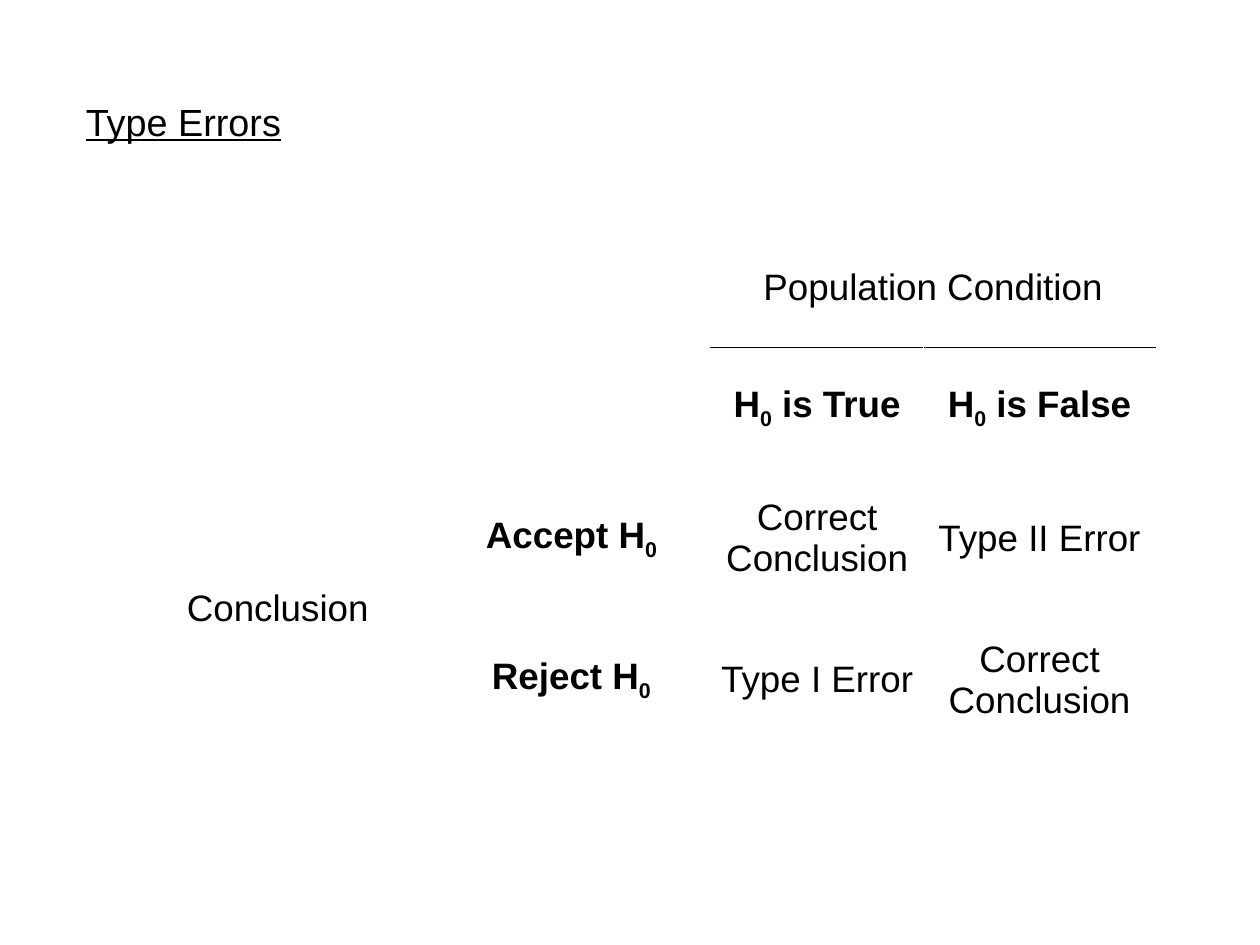
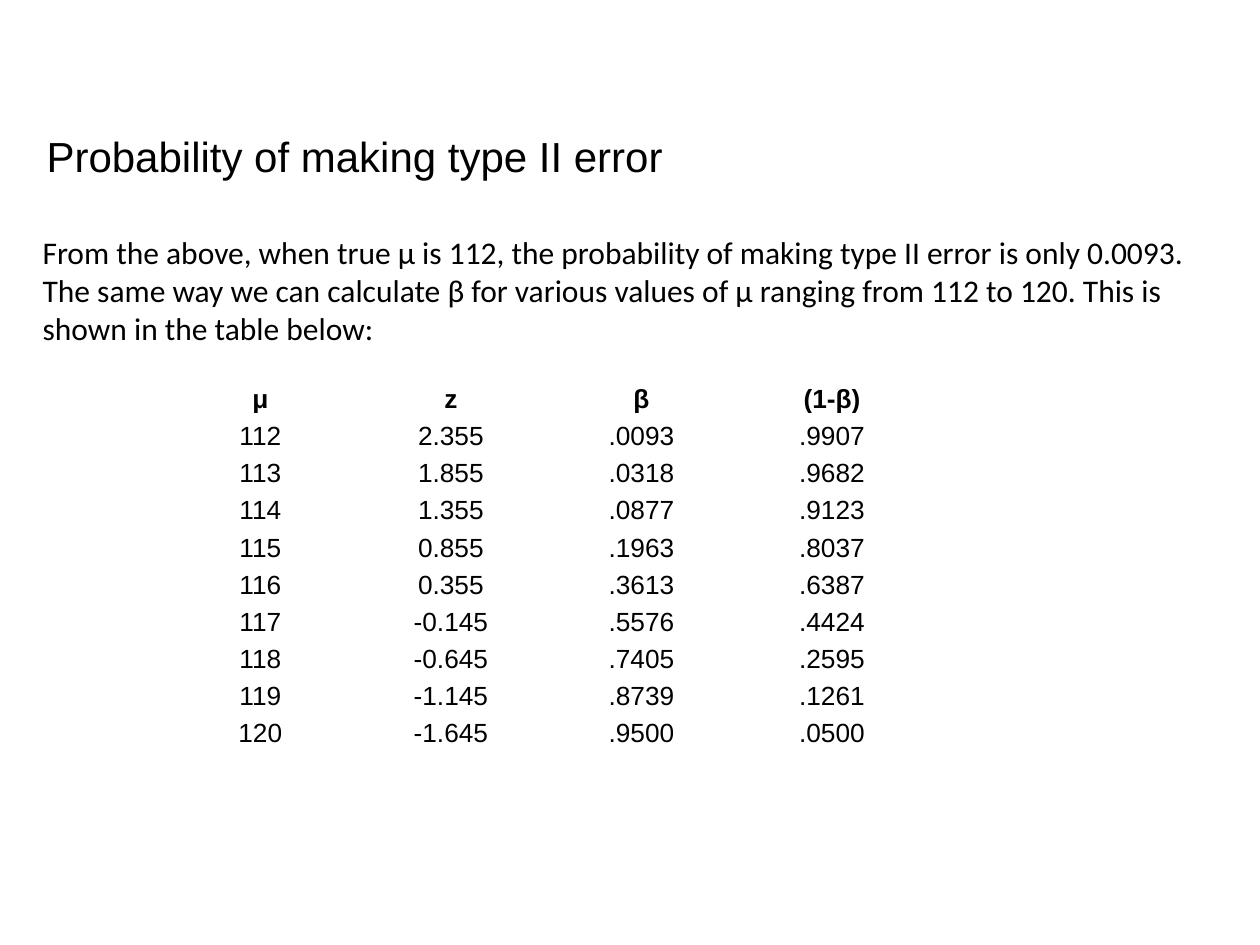
"""Build two slides on type I and type II errors."""
import pptx
import pptx.util
import pptx.dml.color
import pptx.enum.text
import pptx.oxml
import pptx.oxml.ns

Pt = pptx.util.Pt
Align = pptx.enum.text.PP_ALIGN
Anchor = pptx.enum.text.MSO_ANCHOR
COLORS = {"ink": "000000", "paper": "FFFFFF"}


def write(frame, text, size=18, font="Arial", color="ink", bold=False,
          line=False, align=Align.LEFT, gap=1.0):
    para = frame.paragraphs[0]
    para.alignment = align
    para.line_spacing = gap
    for i, part in enumerate(text.split("_")):
        run = para.add_run()
        run.text = part
        run.font.size = Pt(size)
        run.font.name = font
        run.font.bold = bold
        run.font.underline = line
        run.font.color.rgb = pptx.dml.color.RGBColor.from_string(COLORS[color])
        if i % 2:
            run.font._element.set("baseline", "-25000")


class Deck:
    def __init__(self):
        self.prs = pptx.Presentation()
        self.prs.slide_width, self.prs.slide_height = Pt(720), Pt(540)
        self.slide = None

    def start(self, title, box, **style):
        self.slide = self.prs.slides.add_slide(self.prs.slide_layouts[5])
        head = self.slide.shapes.title
        head.left, head.top, head.width, head.height = map(Pt, box)
        frame = head.text_frame
        frame.auto_size = pptx.enum.text.MSO_AUTO_SIZE.NONE
        frame.vertical_anchor = Anchor.BOTTOM
        write(frame, title, **style)

    def text(self, text, box, pad=(5, 3), **style):
        frame = self.slide.shapes.add_textbox(*map(Pt, box)).text_frame
        frame.word_wrap = True
        frame.vertical_anchor = Anchor.MIDDLE
        frame.margin_left = frame.margin_right = Pt(pad[0])
        frame.margin_top = frame.margin_bottom = Pt(pad[1])
        write(frame, text, **style)

    def edge(self, cell, sides, color):
        props = cell._tc.get_or_add_tcPr()
        for side in sides:
            props.append(pptx.oxml.parse_xml(
                f'<a:ln{side} {pptx.oxml.ns.nsdecls("a")} w="12700"><a:solidFill>'
                f'<a:srgbClr val="{COLORS[color]}"/></a:solidFill></a:ln{side}>'))

    def table(self, data, spot, cols, rows, bold, pad, anchor, edges,
              merges=(), **style):
        shape = self.slide.shapes.add_table(
            len(rows), len(cols), *map(Pt, (*spot, sum(cols), sum(rows))))
        table = shape.table
        table.first_row = table.horz_banding = False
        for col, width in zip(table.columns, cols):
            col.width = Pt(width)
        for row, height in zip(table.rows, rows):
            row.height = Pt(height)
        for first, last in merges:
            table.cell(*first).merge(table.cell(*last))
        for r, line in enumerate(data):
            for c, text in enumerate(line):
                cell = table.cell(r, c)
                cell.vertical_anchor = anchor
                cell.margin_left = cell.margin_right = Pt(pad[0])
                cell.margin_top = cell.margin_bottom = Pt(pad[1])
                self.edge(cell, *edges(r, c))
                cell.fill.background()
                if text:
                    write(cell.text_frame, text, bold=bold(r, c),
                          align=Align.CENTER, **style)


def rule(r, c):
    return ({0: ["B"], 1: ["T"]}.get(r, []) if c > 1 else []), "ink"


def main():
    deck = Deck()
    deck.start("Type Errors", (41.8, 54, 459, 31.7), size=21.6, line=True)
    deck.table(
        [["", "", "Population Condition", ""],
         ["", "", "H_0_ is True", "H_0_ is False"],
         ["Conclusion", "Accept H_0", "Correct Conclusion", "Type II Error"],
         ["", "Reject H_0", "Type I Error", "Correct Conclusion"]],
        (70.5, 130.3), (176.4, 159.2, 121.7, 132.5), (68.4, 68.4, 81, 81),
        bold=lambda r, c: r == 1 or c == 1, pad=(5, 3), anchor=Anchor.MIDDLE,
        edges=rule, merges=[((0, 2), (0, 3)), ((2, 0), (3, 0))], size=21)

    deck.start("Probability of making type II error",
               (19.4, 69.8, 540, 37.4), size=24)
    odds = [("2.355", ".0093", ".9907"), ("1.855", ".0318", ".9682"),
            ("1.355", ".0877", ".9123"), ("0.855", ".1963", ".8037"),
            ("0.355", ".3613", ".6387"), ("-0.145", ".5576", ".4424"),
            ("-0.645", ".7405", ".2595"), ("-1.145", ".8739", ".1261"),
            ("-1.645", ".9500", ".0500")]
    data = [("μ", "z", "β", "(1-β)")]
    data += [(str(mu), *row) for mu, row in enumerate(odds, 112)]
    deck.table(data, (94.3, 215.3), [108.9] * 4, [21.24] * len(data),
               bold=lambda r, c: r == 0, pad=(4.3, 0), anchor=Anchor.BOTTOM,
               edges=lambda r, c: ("LRTB", "paper"), size=15, gap=1.07)
    deck.text("From the above, when true μ is 112, the probability of making "
              "type II error is only 0.0093. The same way we can calculate β "
              "for various values of μ ranging from 112 to 120. This is shown "
              "in the table below:", (19.4, 130.3, 674.6, 70.6), font="Calibri")
    deck.prs.save("out.pptx")


if __name__ == "__main__":
    main()
